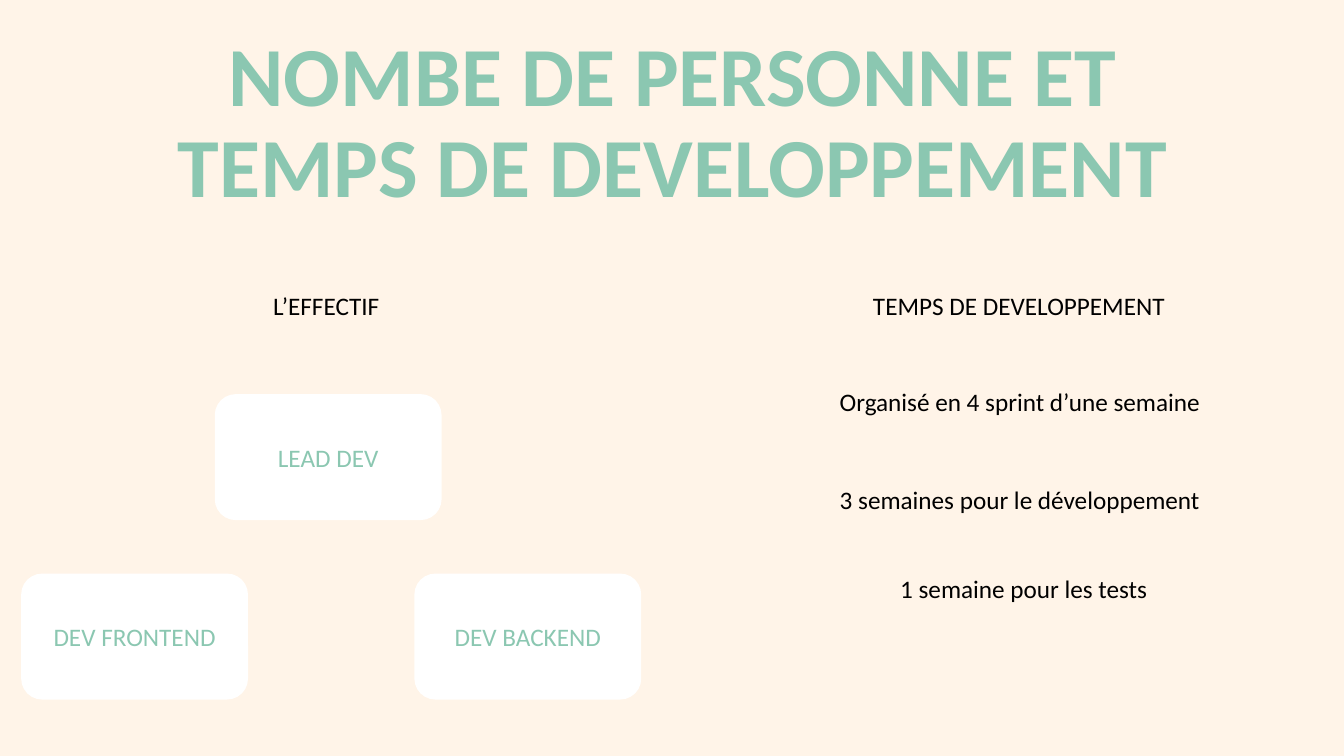
import pptx
import pptx.dml.color
import pptx.enum.shapes
import pptx.enum.text
import pptx.util

Inches = pptx.util.Inches
RGBColor = pptx.dml.color.RGBColor
ALIGN = pptx.enum.text.PP_ALIGN
ANCHOR = pptx.enum.text.MSO_ANCHOR

CREAM = RGBColor(0xFF, 0xF4, 0xE8)
GREEN = RGBColor(0x8B, 0xC7, 0xB1)
WHITE = RGBColor(0xFF, 0xFF, 0xFF)
BLACK = RGBColor(0x00, 0x00, 0x00)

CARD_WIDTH, CARD_HEIGHT = 2.25, 1.25
HEADING_TOP = 2.83
TEAM_TOP = 5.69

# Text, left, top, width
LABELS = [
    ("L’EFFECTIF", 2.61, HEADING_TOP, 1.39),
    ("TEMPS DE DEVELOPPEMENT", 8.56, HEADING_TOP, 3.62),
    ("Organisé en 4 sprint d’une semaine", 8.23, 3.78, 4.03),
    ("3 semaines pour le développement", 8.23, 4.76, 4.99),
    ("1 semaine pour les tests", 8.83, 5.64, 4.47),
]

# Text, left, top
ROLES = [
    ("LEAD DEV", 2.13, 3.91),
    ("DEV FRONTEND", 0.21, TEAM_TOP),
    ("DEV BACKEND", 4.11, TEAM_TOP),
]


def write_text(shape, text, color, size=18, bold=False, align=ALIGN.LEFT):
    shape.text_frame.word_wrap = True
    para = shape.text_frame.paragraphs[0]
    para.text = text
    para.alignment = align
    para.font.name = "Calibri"
    para.font.size = pptx.util.Pt(size)
    para.font.bold = bold
    para.font.color.rgb = color
    return para


def add_title(page, text):
    box = page.shapes.add_textbox(
        Inches(0.92), Inches(0.51), Inches(11.5), Inches(1.45))
    box.text_frame.vertical_anchor = ANCHOR.MIDDLE
    para = write_text(box, text, GREEN, 60, True, ALIGN.CENTER)
    para.line_spacing = 0.9


def add_label(page, text, left, top, width):
    box = page.shapes.add_textbox(
        Inches(left), Inches(top), Inches(width), Inches(0.4))
    write_text(box, text, BLACK)
    box.text_frame.auto_size = pptx.enum.text.MSO_AUTO_SIZE.SHAPE_TO_FIT_TEXT


def add_role_card(page, text, left, top):
    card = page.shapes.add_shape(
        pptx.enum.shapes.MSO_SHAPE.ROUNDED_RECTANGLE,
        Inches(left), Inches(top), Inches(CARD_WIDTH), Inches(CARD_HEIGHT))
    card.shadow.inherit = False
    card.fill.solid()
    card.fill.fore_color.rgb = WHITE
    card.line.fill.background()
    card.text_frame.vertical_anchor = ANCHOR.MIDDLE
    write_text(card, text, GREEN, align=ALIGN.CENTER)


def main():
    deck = pptx.Presentation()
    deck.slide_width = Inches(13.33)
    deck.slide_height = Inches(7.5)
    page = deck.slides.add_slide(deck.slide_layouts[6])
    page.background.fill.solid()
    page.background.fill.fore_color.rgb = CREAM

    add_title(page, "NOMBE DE PERSONNE ET TEMPS DE DEVELOPPEMENT")

    # Headings and schedule
    for label in LABELS:
        add_label(page, *label)

    # Team
    for role in ROLES:
        add_role_card(page, *role)

    deck.save("out.pptx")


if __name__ == "__main__":
    main()
